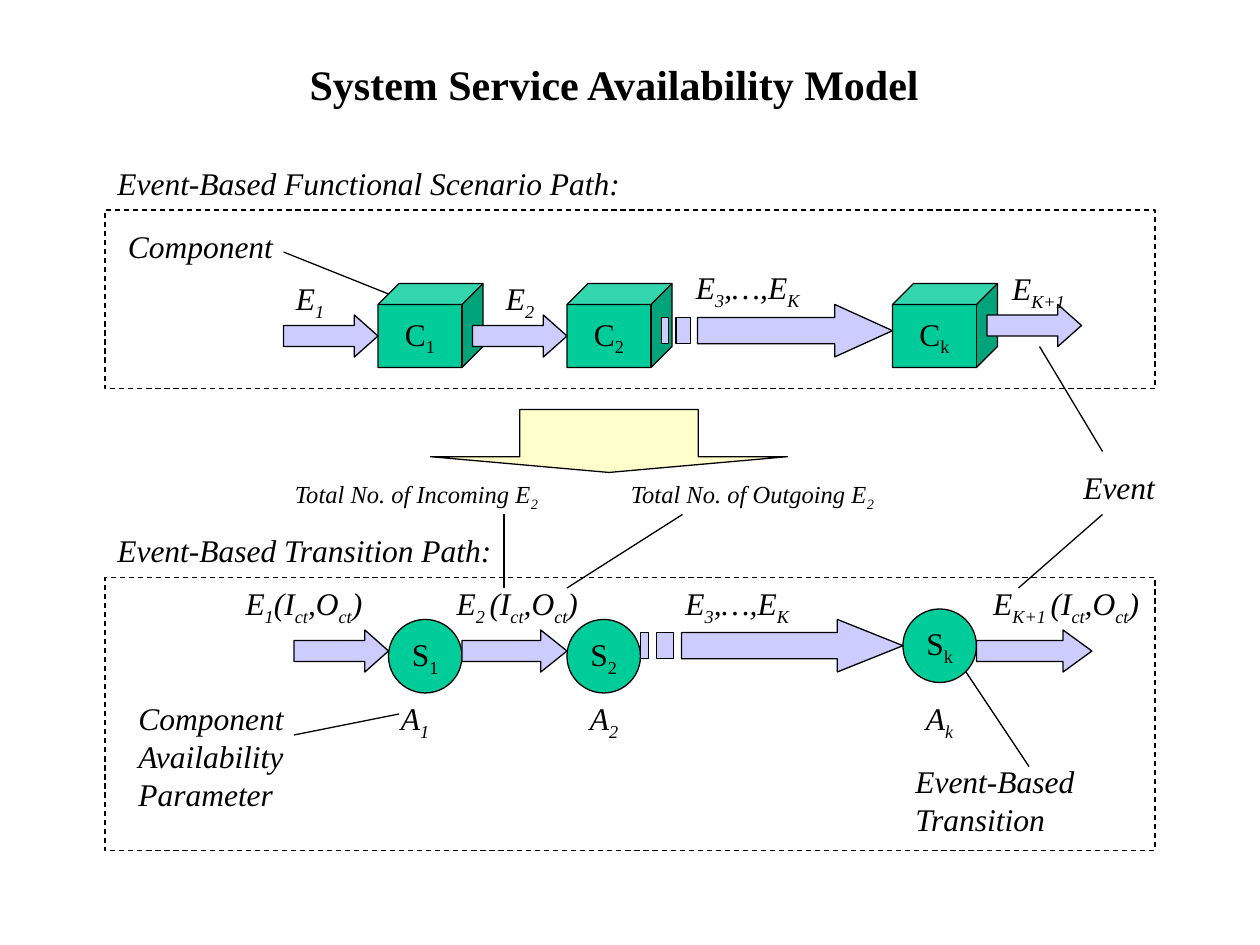
from lxml.etree import SubElement
from pptx import Presentation
from pptx.dml.color import RGBColor
from pptx.enum.dml import MSO_LINE
from pptx.enum.shapes import MSO_CONNECTOR, MSO_SHAPE
from pptx.enum.text import MSO_ANCHOR, MSO_AUTO_SIZE, PP_ALIGN
from pptx.oxml.ns import qn
from pptx.util import Pt

EMU_PER_PX = 7620  # 120 px to the inch
FONT = "Times New Roman"
BLACK = RGBColor(0x00, 0x00, 0x00)
GREEN = RGBColor(0x00, 0xCC, 0x99)
LAVENDER = RGBColor(0xCC, 0xCC, 0xFF)
CREAM = RGBColor(0xFF, 0xFF, 0xCC)


def px(*lengths):
    return [round(length * EMU_PER_PX) for length in lengths]


def write(text_frame, text, size=18, bold=False, italic=False, align=PP_ALIGN.LEFT):
    """Fill a frame: lines split at newlines, every second part at | is a subscript."""
    for index, line in enumerate(text.split("\n")):
        paragraph = text_frame.add_paragraph() if index else text_frame.paragraphs[0]
        paragraph.alignment = align
        font = paragraph.font
        font.name, font.size = FONT, Pt(size)
        font.bold, font.italic = bold, italic
        font.color.rgb = BLACK
        for part_index, part in enumerate(line.split("|")):
            if not part:
                continue
            run = paragraph.add_run()
            run.text = part
            if part_index % 2:
                run._r.get_or_add_rPr().set("baseline", "-25000")


def add_label(slide, box, text, wrap=False, italic=True, **style):
    text_frame = slide.shapes.add_textbox(*px(*box)).text_frame
    text_frame.word_wrap = wrap
    text_frame.auto_size = MSO_AUTO_SIZE.SHAPE_TO_FIT_TEXT
    write(text_frame, text, italic=italic, **style)


def paint(shape, fill=None):
    shape.shadow.inherit = False
    if fill is None:
        shape.fill.background()
    else:
        shape.fill.solid()
        shape.fill.fore_color.rgb = fill
    shape.line.color.rgb = BLACK
    shape.line.width = Pt(0.75)


def add_node(slide, kind, box, text):
    shape = slide.shapes.add_shape(kind, *px(*box))
    paint(shape, GREEN)
    text_frame = shape.text_frame
    text_frame.word_wrap = False
    text_frame.vertical_anchor = MSO_ANCHOR.MIDDLE
    write(text_frame, text, align=PP_ALIGN.CENTER)


def add_arrow(slide, kind, box, fill):
    """Add a block arrow whose head takes a quarter of its length."""
    width, height = box[2:]
    shape = slide.shapes.add_shape(kind, *px(*box))
    length = height if kind == MSO_SHAPE.DOWN_ARROW else width
    shape.adjustments[0] = 0.5
    shape.adjustments[1] = length / 4 / min(width, height)
    paint(shape, fill)


def add_striped_arrow(slide, left, top, width, height):
    def point(across, down):
        return tuple(px(left + across * width, top + down * height))

    stripes = [
        [point(start, 0.25), point(end, 0.25), point(end, 0.75), point(start, 0.75)]
        for start, end in ((0, 1 / 32), (1 / 16, 1 / 8))
    ]
    body = [point(5 / 32, 0.25), point(0.75, 0.25), point(0.75, 0), point(1, 0.5),
            point(0.75, 1), point(0.75, 0.75), point(5 / 32, 0.75)]
    builder = slide.shapes.build_freeform(*body[0], scale=1.0)
    builder.add_line_segments(body[1:], close=True)
    for stripe in stripes:
        builder.move_to(*stripe[0])
        builder.add_line_segments(stripe[1:], close=True)
    paint(builder.convert_to_shape(), LAVENDER)


def add_leader(slide, *ends):
    connector = slide.shapes.add_connector(MSO_CONNECTOR.STRAIGHT, *px(*ends))
    connector.line.color.rgb = BLACK
    connector.line.width = Pt(0.75)
    SubElement(connector._element.spPr, qn("a:effectLst"))


def add_frame(slide, *box):
    shape = slide.shapes.add_shape(MSO_SHAPE.RECTANGLE, *px(*box))
    paint(shape)
    shape.line.dash_style = MSO_LINE.DASH


def add_scenario_path(slide):
    add_label(slide, (100, 150, 510, 48), "Event-Based Functional Scenario Path:", wrap=True)
    add_frame(slide, 100, 200, 1000, 170)
    for left, name in ((360, "C|1"), (540, "C|2"), (850, "C|k")):
        add_node(slide, MSO_SHAPE.CUBE, (left, 270, 100, 80), name)
    for left, top in ((270, 300), (450, 300), (940, 290)):
        add_arrow(slide, MSO_SHAPE.RIGHT_ARROW, (left, top, 90, 40), LAVENDER)
    add_striped_arrow(slide, 630, 290, 220, 50)
    add_label(slide, (270, 260, 54, 53), "E|1")
    add_label(slide, (470, 260, 54, 53), "E|2")
    add_label(slide, (651, 249, 126, 53), "E|3|,…,E|K")
    add_label(slide, (952, 250, 78, 53), "E|K+1")
    add_label(slide, (110, 210, 164, 48), "Component")
    add_leader(slide, 270, 240, 370, 280)


def add_transition_path(slide):
    add_label(slide, (100, 500, 410, 48), "Event-Based Transition Path:", wrap=True)
    add_frame(slide, 100, 550, 1000, 260)
    for left, top, index in ((370, 590, "1"), (540, 590, "2"), (860, 580, "k")):
        add_node(slide, MSO_SHAPE.OVAL, (left, top, 70, 70), f"S|{index}")
    for left, index in ((370, "1"), (550, "2"), (870, "k")):
        add_label(slide, (left, 660, 54, 53), f"A|{index}")
    for left, width in ((280, 90), (440, 100), (930, 110)):
        add_arrow(slide, MSO_SHAPE.RIGHT_ARROW, (left, 600, width, 40), LAVENDER)
    add_striped_arrow(slide, 610, 590, 250, 50)
    counts = "(I|ct|,O|ct|)"
    add_label(slide, (222, 550, 138, 53), "E|1|" + counts)
    add_label(slide, (423, 550, 143, 53), "E|2 |" + counts)
    add_label(slide, (641, 550, 126, 53), "E|3|,…,E|K")
    add_label(slide, (934, 550, 167, 53), "E|K+1 |" + counts)
    add_label(slide, (120, 660, 174, 120), "Component\nAvailability\nParameter")
    add_leader(slide, 280, 700, 380, 680)
    add_label(slide, (860, 720, 220, 84), "Event-Based Transition", wrap=True)
    add_leader(slide, 920, 640, 980, 730)


def add_links_between_paths(slide):
    add_arrow(slide, MSO_SHAPE.DOWN_ARROW, (410, 390, 340, 60), CREAM)
    add_label(slide, (269, 450, 260, 44), "Total No. of Incoming E|2", size=14)
    add_leader(slide, 480, 560, 480, 490)
    add_label(slide, (589, 450, 260, 44), "Total No. of Outgoing E|2", size=14)
    add_leader(slide, 540, 560, 650, 490)
    add_label(slide, (1020, 440, 94, 48), "Event")
    add_leader(slide, 990, 330, 1050, 430)
    add_leader(slide, 1050, 490, 970, 560)


def main():
    presentation = Presentation()
    presentation.slide_width, presentation.slide_height = px(1200, 900)
    slide = presentation.slides.add_slide(presentation.slide_layouts[6])
    add_label(slide, (150, 50, 870, 60), "System Service Availability Model", wrap=True,
              italic=False, size=24, bold=True, align=PP_ALIGN.CENTER)
    add_scenario_path(slide)
    add_transition_path(slide)
    add_links_between_paths(slide)
    presentation.save("out.pptx")


if __name__ == "__main__":
    main()
